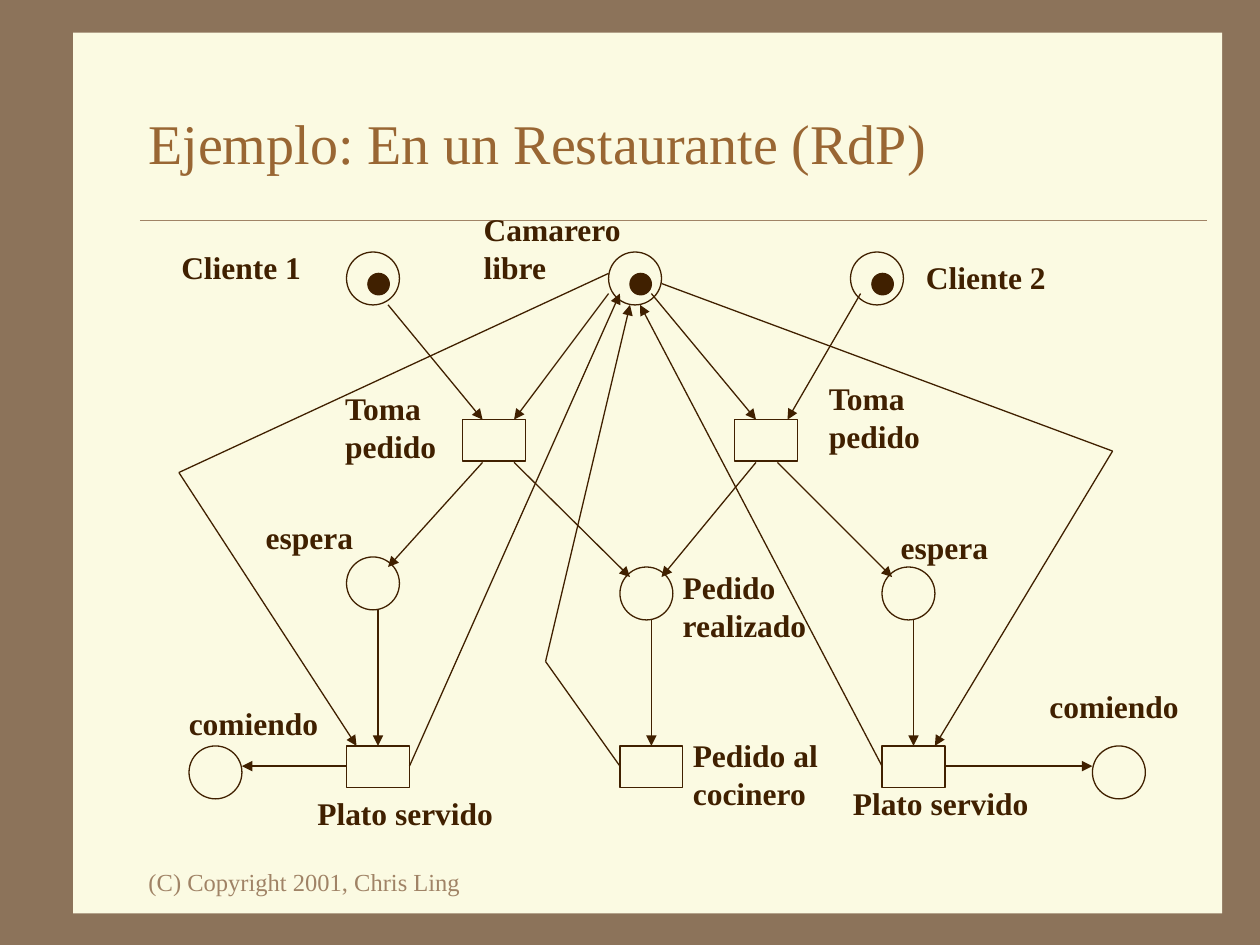
from pptx import Presentation
from pptx.dml.color import RGBColor
from pptx.enum.shapes import MSO_CONNECTOR, MSO_SHAPE
from pptx.enum.text import MSO_ANCHOR, MSO_AUTO_SIZE
from pptx.oxml.ns import qn
from pptx.util import Inches, Pt
from lxml import etree

INK, PAPER, FRAME, TITLE, MUTED = "402000", "FBFAE2", "8C735A", "996633", "A08366"
LABEL = {"size": Pt(18), "bold": True, "name": "Times New Roman"}
PLACE, TOKEN = 0.42, 0.17
TRANSITION = (0.5, 0.33)

MARKED_PLACES = [(2.75, 2), (4.83, 2), (6.75, 2)]
EMPTY_PLACES = [(2.75, 4.42), (4.92, 4.5), (7, 4.5), (1.5, 5.92), (8.67, 5.92)]
TRANSITIONS = [(3.67, 3.33), (5.83, 3.33), (2.75, 5.92), (4.92, 5.92), (7, 5.92)]

# Each arc is a list of points; the arrowhead is at the last one.
ARCS = [
    [(3.08, 2.42), (3.83, 3.33)],
    [(4.83, 2.33), (4.08, 3.33)],
    [(5.17, 2.33), (6, 3.33)],
    [(6.83, 2.33), (6.25, 3.33)],
    [(3.83, 3.67), (3.08, 4.5)],
    [(4.08, 3.67), (5, 4.58)],
    [(6, 3.67), (5.25, 4.58)],
    [(6.17, 3.67), (7.08, 4.58)],
    [(3, 4.83), (3, 5.92)],
    [(5.17, 4.92), (5.17, 5.92)],
    [(7.25, 4.92), (7.25, 5.92)],
    [(2.75, 6.08), (1.92, 6.08)],
    [(7.5, 6.08), (8.67, 6.08)],
    [(3.25, 6.08), (4.92, 2.33)],
    [(7, 6.08), (5.08, 2.42)],
    [(4.92, 6.08), (4.33, 5.25), (5, 2.42)],
    [(4.83, 2.17), (1.42, 3.75), (2.83, 5.92)],
    [(5.25, 2.25), (8.83, 3.58), (7.42, 5.92)],
]

# left, top, width, text
LABELS = [
    (3.74, 1.62, 1.29, "Camarero\nlibre"),
    (1.34, 1.92, 1.15, "Cliente 1"),
    (7.25, 2, 1.15, "Cliente 2"),
    (2.64, 3.04, 0.92, "Toma\npedido"),
    (6.48, 2.96, 0.92, "Toma\npedido"),
    (5.32, 4.46, 1.18, "Pedido\nrealizado"),
    (5.4, 5.79, 1.19, "Pedido al\ncocinero"),
    (2.01, 4.06, 0.91, "espera"),
    (7.05, 4.14, 0.91, "espera"),
    (2.42, 6.25, 1.61, "Plato servido"),
    (6.67, 6.17, 1.61, "Plato servido"),
    (1.4, 5.54, 1.23, "comiendo"),
    (8.23, 5.4, 1.23, "comiendo"),
]


def rgb(color):
    return RGBColor.from_string(color)


def add_shape(s, kind, x, y, w, h, fill=None, line=None):
    sp = s.shapes.add_shape(kind, Inches(x), Inches(y), Inches(w), Inches(h))
    sp.shadow.inherit = False
    if fill:
        sp.fill.solid()
        sp.fill.fore_color.rgb = rgb(fill)
    else:
        sp.fill.background()
    if line:
        sp.line.color.rgb = rgb(line)
        sp.line.width = Pt(0.75)
    else:
        sp.line.fill.background()


def add_line(s, start, end, color=INK, width=0.75, arrow=False):
    points = [Inches(v) for v in (*start, *end)]
    cx = s.shapes.add_connector(MSO_CONNECTOR.STRAIGHT, *points)
    cx.line.color.rgb = rgb(color)
    cx.line.width = Pt(width)
    if arrow:
        etree.SubElement(cx.line._get_or_add_ln(), qn("a:tailEnd"), type="triangle")
    etree.SubElement(cx._element.spPr, qn("a:effectLst"))


def add_arc(s, points):
    for i in range(1, len(points)):
        add_line(s, points[i - 1], points[i], arrow=i == len(points) - 1)


def add_text(s, x, y, w, h, text, color, fmt, wrap=False, anchor=MSO_ANCHOR.TOP):
    """Add a text box; one that does not wrap grows to fit its text."""
    tf = s.shapes.add_textbox(Inches(x), Inches(y), Inches(w), Inches(h)).text_frame
    tf.word_wrap = wrap
    tf.auto_size = MSO_AUTO_SIZE.NONE if wrap else MSO_AUTO_SIZE.SHAPE_TO_FIT_TEXT
    tf.vertical_anchor = anchor
    tf.text = text
    for p in tf.paragraphs:
        for name, value in fmt.items():
            setattr(p.font, name, value)
        p.font.color.rgb = rgb(color)


def add_page(s):
    s.background.fill.solid()
    s.background.fill.fore_color.rgb = rgb(FRAME)
    add_shape(s, MSO_SHAPE.RECTANGLE, 0.58, 0.26, 9.12, 6.99, fill=PAPER)
    add_line(s, (1.11, 1.75), (9.58, 1.75), MUTED, 0.25)
    add_text(s, 1.08, 6.83, 2.75, 0.33, "(C) Copyright 2001, Chris Ling", MUTED,
             {**LABEL, "size": Pt(14), "bold": False}, wrap=True)
    add_text(s, 1.08, 0.5, 8.5, 1.25, "Ejemplo: En un Restaurante (RdP)", TITLE,
             {**LABEL, "size": Pt(32), "bold": False}, True, MSO_ANCHOR.MIDDLE)


def main():
    prs = Presentation()
    prs.slide_width, prs.slide_height = Inches(10), Inches(7.5)
    s = prs.slides.add_slide(prs.slide_layouts[6])
    add_page(s)
    for x, y in MARKED_PLACES + EMPTY_PLACES:
        add_shape(s, MSO_SHAPE.OVAL, x, y, PLACE, PLACE, line=INK)
    for x, y in TRANSITIONS:
        add_shape(s, MSO_SHAPE.RECTANGLE, x, y, *TRANSITION, line=INK)
    for points in ARCS:
        add_arc(s, points)
    for x, y, w, text in LABELS:
        height = 0.7 if "\n" in text else 0.4
        add_text(s, x, y, w, height, text, INK, LABEL)
    for x, y in MARKED_PLACES:
        add_shape(s, MSO_SHAPE.OVAL, x + 0.17, y + 0.17, TOKEN, TOKEN, INK, INK)
    prs.save("out.pptx")


if __name__ == "__main__":
    main()
